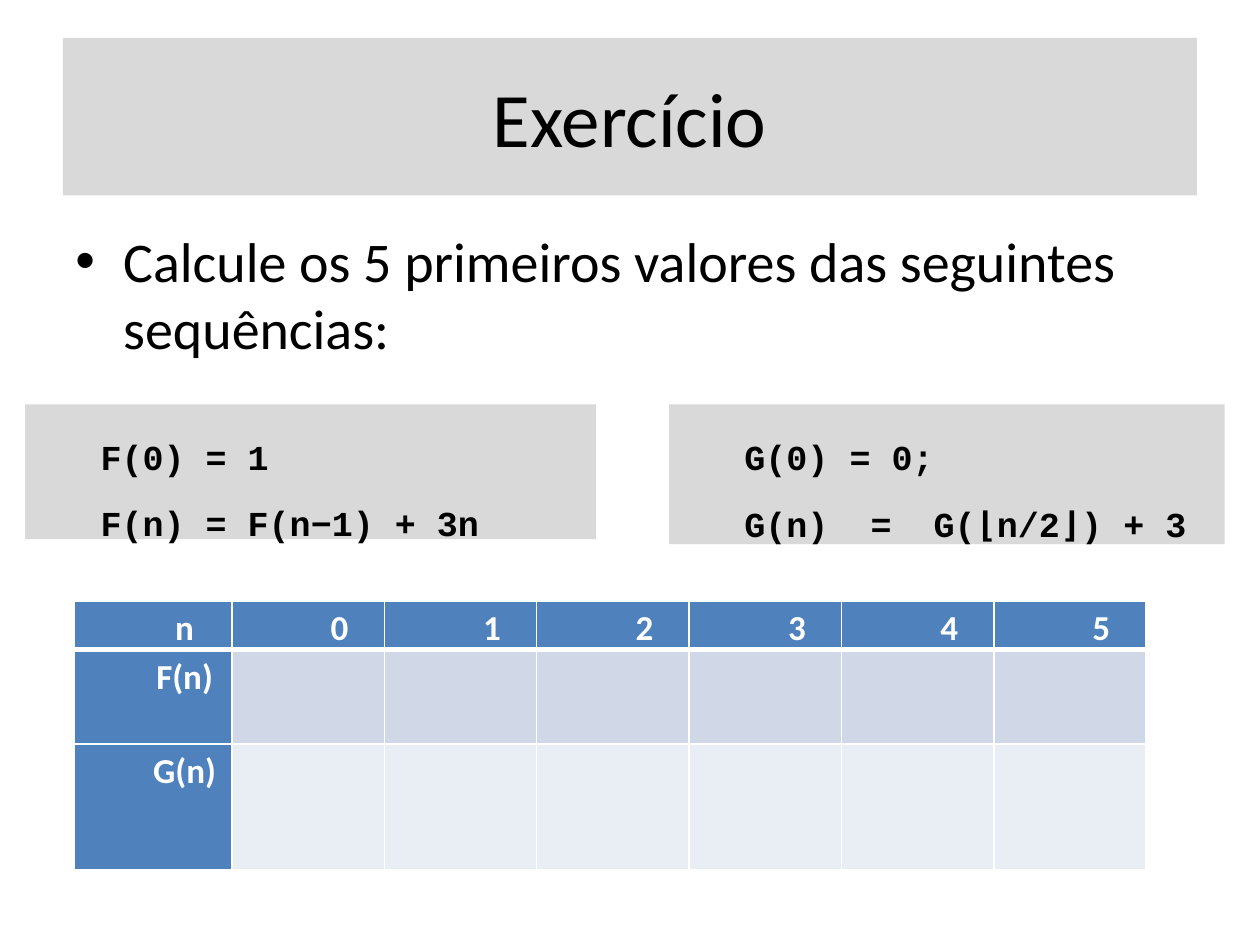
"""Build a slide with an exercise on two recursive sequences."""
from dataclasses import dataclass

from lxml.etree import SubElement
from pptx import Presentation
from pptx.dml.color import RGBColor
from pptx.enum.shapes import MSO_SHAPE
from pptx.enum.text import MSO_ANCHOR, PP_ALIGN
from pptx.oxml.ns import qn
from pptx.util import Inches, Pt

COLUMNS, ROWS = 100, 75
SLIDE_WIDTH, SLIDE_HEIGHT = Inches(10), Inches(7.5)
BLACK = RGBColor(0x00, 0x00, 0x00)
WHITE = RGBColor(0xFF, 0xFF, 0xFF)
GREY = RGBColor(0xD9, 0xD9, 0xD9)
BLUE = RGBColor(0x4F, 0x81, 0xBD)
BAND_FILLS = (RGBColor(0xD0, 0xD8, 0xE8), RGBColor(0xE9, 0xED, 0xF4))
CELL_ROWS = (("n", "0", "1", "2", "3", "4", "5"), ("F(n)",), ("G(n)",))
COLUMN_SPANS = (12.5,) + (12.1,) * 5 + (12,)
ROW_SPANS = (3, 7.5, 10)


@dataclass(frozen=True)
class Area:
    """A rectangle in grid columns and rows."""

    left: float
    top: float
    width: float
    height: float

    def lengths(self) -> tuple[int, int, int, int]:
        """Return left, top, width and height as slide lengths."""
        return across(self.left), down(self.top), across(self.width), down(self.height)


@dataclass(frozen=True)
class TextStyle:
    """The look of a run of text."""

    size: float
    font: str = "Calibri"
    color: RGBColor = BLACK
    bold: bool = False


@dataclass(frozen=True)
class Formula:
    """A grey panel that defines one sequence."""

    area: Area
    lines: tuple[str, ...]


TITLE_STYLE = TextStyle(44)
BODY_STYLE = TextStyle(32)
CODE_STYLE = TextStyle(20, "Courier New", bold=True)
CELL_STYLE = TextStyle(20, color=WHITE, bold=True)
FORMULAS = (
    Formula(Area(53.1, 32.1, 44.1, 11.1), ("G(0) = 0;", "G(n)  =  G(⌊n/2⌋) + 3")),
    Formula(Area(2, 32.1, 45.3, 10.7), ("F(0) = 1", "F(n) = F(n−1) + 3n")),
)


def across(columns: float) -> int:
    """Convert grid columns to a slide length."""
    return round(SLIDE_WIDTH * columns / COLUMNS)


def down(rows: float) -> int:
    """Convert grid rows to a slide length."""
    return round(SLIDE_HEIGHT * rows / ROWS)


def add_run(paragraph, text: str, style: TextStyle) -> None:
    """Add one styled run to a paragraph."""
    run = paragraph.add_run()
    run.text = text
    run.font.size = Pt(style.size)
    run.font.name = style.font
    run.font.bold = style.bold
    run.font.color.rgb = style.color


def indent(paragraph, margin: float, first_line: float = 0) -> None:
    """Set the left margin and first-line indent in inches."""
    properties = paragraph._p.get_or_add_pPr()
    properties.set("marL", str(Inches(margin)))
    properties.set("indent", str(Inches(first_line)))


def add_panel(slide, area: Area, anchor: MSO_ANCHOR):
    """Add a grey rectangle and return its text frame."""
    shape = slide.shapes.add_shape(MSO_SHAPE.RECTANGLE, *area.lengths())
    shape.shadow.inherit = False
    shape.fill.solid()
    shape.fill.fore_color.rgb = GREY
    shape.line.fill.background()
    shape.text_frame.word_wrap = True
    shape.text_frame.vertical_anchor = anchor
    return shape.text_frame


def add_title(slide) -> None:
    """Add the title banner."""
    paragraph = add_panel(slide, Area(5, 3, 90, 12.5), MSO_ANCHOR.MIDDLE).paragraphs[0]
    paragraph.alignment = PP_ALIGN.CENTER
    add_run(paragraph, "Exercício", TITLE_STYLE)


def add_task(slide) -> None:
    """Add the bulleted task."""
    frame = slide.shapes.add_textbox(*Area(5, 17.5, 90, 49.5).lengths()).text_frame
    frame.word_wrap = True
    paragraph = frame.paragraphs[0]
    paragraph.space_before = Pt(6.4)
    indent(paragraph, 0.38, -0.38)
    properties = paragraph._p.get_or_add_pPr()
    SubElement(properties, qn("a:buFont"), typeface="Arial")
    SubElement(properties, qn("a:buChar"), char="•")
    add_run(paragraph, "Calcule os 5 primeiros valores das seguintes sequências:", BODY_STYLE)


def add_formula(slide, formula: Formula) -> None:
    """Add a panel with one line per equation."""
    frame = add_panel(slide, formula.area, MSO_ANCHOR.TOP)
    frame.margin_top = Inches(0.08)
    for index, line in enumerate(formula.lines):
        paragraph = frame.add_paragraph() if index else frame.paragraphs[0]
        paragraph.alignment = PP_ALIGN.LEFT
        paragraph.line_spacing = 1.5
        paragraph.space_before = Pt(2)
        indent(paragraph, 0.5)
        add_run(paragraph, line, CODE_STYLE)


def add_borders(cell, row: int) -> None:
    """Draw white cell borders, thicker below the header."""
    widths = {"L": 1, "R": 1, "T": 3 if row == 1 else 1, "B": 3 if row == 0 else 1}
    properties = cell._tc.get_or_add_tcPr()
    for side, width in widths.items():
        line = SubElement(properties, qn(f"a:ln{side}"), w=str(Pt(width)))
        fill = SubElement(line, qn("a:solidFill"))
        SubElement(fill, qn("a:srgbClr"), val=str(WHITE))


def add_values_table(slide) -> None:
    """Add the table to be filled in with the values."""
    area = Area(5.9, 47.7, sum(COLUMN_SPANS), sum(ROW_SPANS))
    table = slide.shapes.add_table(len(ROW_SPANS), len(COLUMN_SPANS), *area.lengths()).table
    for column, span in zip(table.columns, COLUMN_SPANS):
        column.width = across(span)
    for row, (texts, span) in enumerate(zip(CELL_ROWS, ROW_SPANS)):
        table.rows[row].height = down(span)
        for column in range(len(COLUMN_SPANS)):
            cell = table.cell(row, column)
            add_borders(cell, row)
            is_label = column < len(texts)
            cell.fill.solid()
            cell.fill.fore_color.rgb = BLUE if is_label else BAND_FILLS[row - 1]
            cell.margin_left = cell.margin_right = Inches(0.07)
            cell.margin_top = cell.margin_bottom = 0
            if is_label:
                paragraph = cell.text_frame.paragraphs[0]
                paragraph.alignment = PP_ALIGN.CENTER
                paragraph.line_spacing = 1.15
                indent(paragraph, 0.5)
                add_run(paragraph, texts[column], CELL_STYLE)


def main() -> None:
    """Build and save the presentation."""
    presentation = Presentation()
    presentation.slide_width, presentation.slide_height = SLIDE_WIDTH, SLIDE_HEIGHT
    slide = presentation.slides.add_slide(presentation.slide_layouts[6])
    add_title(slide)
    add_task(slide)
    for formula in FORMULAS:
        add_formula(slide, formula)
    add_values_table(slide)
    presentation.save("out.pptx")


main()
